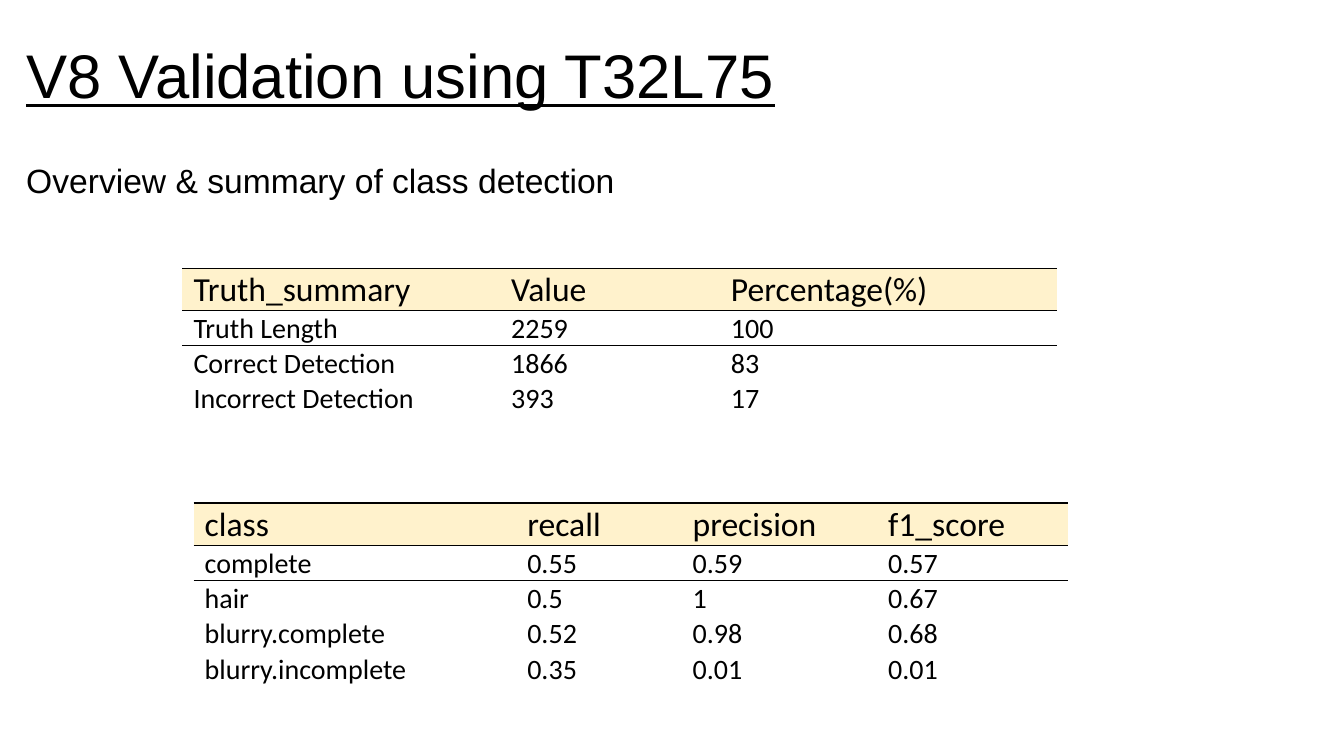
"""Build the V8 validation slide with its title, subtitle and two result tables."""
from dataclasses import dataclass

from lxml.etree import SubElement
from pptx import Presentation
from pptx.dml.color import RGBColor
from pptx.enum.text import MSO_ANCHOR, MSO_AUTO_SIZE, PP_ALIGN
from pptx.oxml import parse_xml
from pptx.oxml.ns import nsdecls, qn
from pptx.shapes.placeholder import SlidePlaceholder
from pptx.slide import Slide
from pptx.table import _Cell
from pptx.util import Emu, Pt

EMU_PER_PX = 9144
NO_STYLE = "{2D5ABB26-0587-4C30-8999-92F81FD0307C}"


@dataclass(frozen=True)
class Theme:
    """Colours, fonts and type sizes of the slide."""
    ink: str = "000000"
    header_fill: str = "FFF2CC"
    heading_font: str = "Arial"
    table_font: str = "Calibri"
    title_size: int = 44
    subtitle_size: int = 24
    header_size: int = 24
    cell_size: int = 20
    rule_width: int = 1


@dataclass(frozen=True)
class Heading:
    """A line of text in a placeholder."""
    text: str
    left: int
    top: int
    width: int
    height: int
    size: int
    underline: bool


@dataclass(frozen=True)
class ResultTable:
    """A table whose first row is the header."""
    left: int
    top: int
    column_widths: tuple[int, ...]
    rows: tuple[tuple[str, ...], ...]


THEME = Theme()
HEADER_HEIGHT = 42
ROW_HEIGHT = 35
FIRST_COLUMN_INDENT = 10

HEADINGS = (
    Heading("V8 Validation using T32L75", 16, 32, 768, 84, THEME.title_size, True),
    Heading("Overview & summary of class detection", 16, 154, 1197, 50,
            THEME.subtitle_size, False),
)

TABLES = (
    ResultTable(181, 266, (325, 218, 324), (
        ("Truth_summary", "Value", "Percentage(%)"),
        ("Truth Length", "2259", "100"),
        ("Correct Detection", "1866", "83"),
        ("Incorrect Detection", "393", "17"),
    )),
    ResultTable(192, 499, (330, 164, 194, 179), (
        ("class", "recall", "precision", "f1_score"),
        ("complete", "0.55", "0.59", "0.57"),
        ("hair", "0.5", "1", "0.67"),
        ("blurry.complete", "0.52", "0.98", "0.68"),
        ("blurry.incomplete", "0.35", "0.01", "0.01"),
    )),
)


def px(length: int) -> Emu:
    """Turn a length in px into EMU."""
    return Emu(length * EMU_PER_PX)


def apply(target: object, values: dict[str, object]) -> None:
    """Set each named attribute on the target."""
    for name, value in values.items():
        setattr(target, name, value)


def write(para: object, text: str, font: str, size: int, underline: bool = False) -> None:
    """Add one formatted span of text to a paragraph."""
    span = para.add_run()
    span.text = text
    apply(span.font, {"name": font, "size": Pt(size), "underline": underline})
    span.font.color.rgb = RGBColor.from_string(THEME.ink)


def draw_heading(box: SlidePlaceholder, heading: Heading) -> None:
    """Place and fill a title or body placeholder."""
    apply(box, {name: px(getattr(heading, name))
                for name in ("left", "top", "width", "height")})
    apply(box.text_frame, {"word_wrap": True, "auto_size": MSO_AUTO_SIZE.NONE,
                           "vertical_anchor": MSO_ANCHOR.TOP})
    para = box.text_frame.paragraphs[0]
    apply(para, {"alignment": PP_ALIGN.LEFT, "space_before": Pt(0)})
    properties = para._p.get_or_add_pPr()
    apply_indent(para, 0)
    SubElement(properties, qn("a:buNone"))
    write(para, heading.text, THEME.heading_font, heading.size, heading.underline)


def apply_indent(para: object, indent: int) -> None:
    """Set the left margin of a paragraph without a hanging indent."""
    properties = para._p.get_or_add_pPr()
    for name, value in {"marL": px(indent), "indent": 0}.items():
        properties.set(name, str(int(value)))


def add_rules(cell: _Cell, sides: tuple[str, ...]) -> None:
    """Draw border lines on the given sides of a cell."""
    properties = cell._tc.get_or_add_tcPr()
    for position, side in enumerate(sides):
        properties.insert(position, parse_xml(
            f'<a:{side} {nsdecls("a")} w="{Pt(THEME.rule_width)}"><a:solidFill>'
            f'<a:srgbClr val="{THEME.ink}"/></a:solidFill></a:{side}>'))


def draw_cell(cell: _Cell, text: str, row: int, column: int) -> None:
    """Fill and format one table cell."""
    apply(cell, {"margin_left": px(1), "margin_right": px(1), "margin_top": px(1),
                 "margin_bottom": px(0), "vertical_anchor": MSO_ANCHOR.BOTTOM})
    if row == 0:
        cell.fill.solid()
        cell.fill.fore_color.rgb = RGBColor.from_string(THEME.header_fill)
        add_rules(cell, ("lnT", "lnB"))
    else:
        cell.fill.background()
        if row == 1:
            add_rules(cell, ("lnT",))
    para = cell.text_frame.paragraphs[0]
    if column == 0:
        apply_indent(para, FIRST_COLUMN_INDENT)
    write(para, text, THEME.table_font, THEME.cell_size if row else THEME.header_size)


def draw_table(page: Slide, result: ResultTable) -> None:
    """Add a result table to the page."""
    row_heights = [HEADER_HEIGHT] + [ROW_HEIGHT] * (len(result.rows) - 1)
    table = page.shapes.add_table(
        len(result.rows), len(result.column_widths), px(result.left), px(result.top),
        px(sum(result.column_widths)), px(sum(row_heights))).table
    apply(table, {"first_row": False, "horz_banding": False})
    table._tbl.tblPr.find(qn("a:tableStyleId")).text = NO_STYLE
    for column, width in zip(table.columns, result.column_widths):
        column.width = px(width)
    for row, height in zip(table.rows, row_heights):
        row.height = px(height)
    for row, texts in enumerate(result.rows):
        for column, text in enumerate(texts):
            draw_cell(table.cell(row, column), text, row, column)


def main() -> None:
    """Build and save the deck."""
    deck = Presentation()
    apply(deck, {"slide_width": px(1333), "slide_height": px(750)})
    page = deck.slides.add_slide(deck.slide_layouts[1])
    for box, heading in zip(page.placeholders, HEADINGS):
        draw_heading(box, heading)
    for result in TABLES:
        draw_table(page, result)
    deck.save("out.pptx")


if __name__ == "__main__":
    main()
